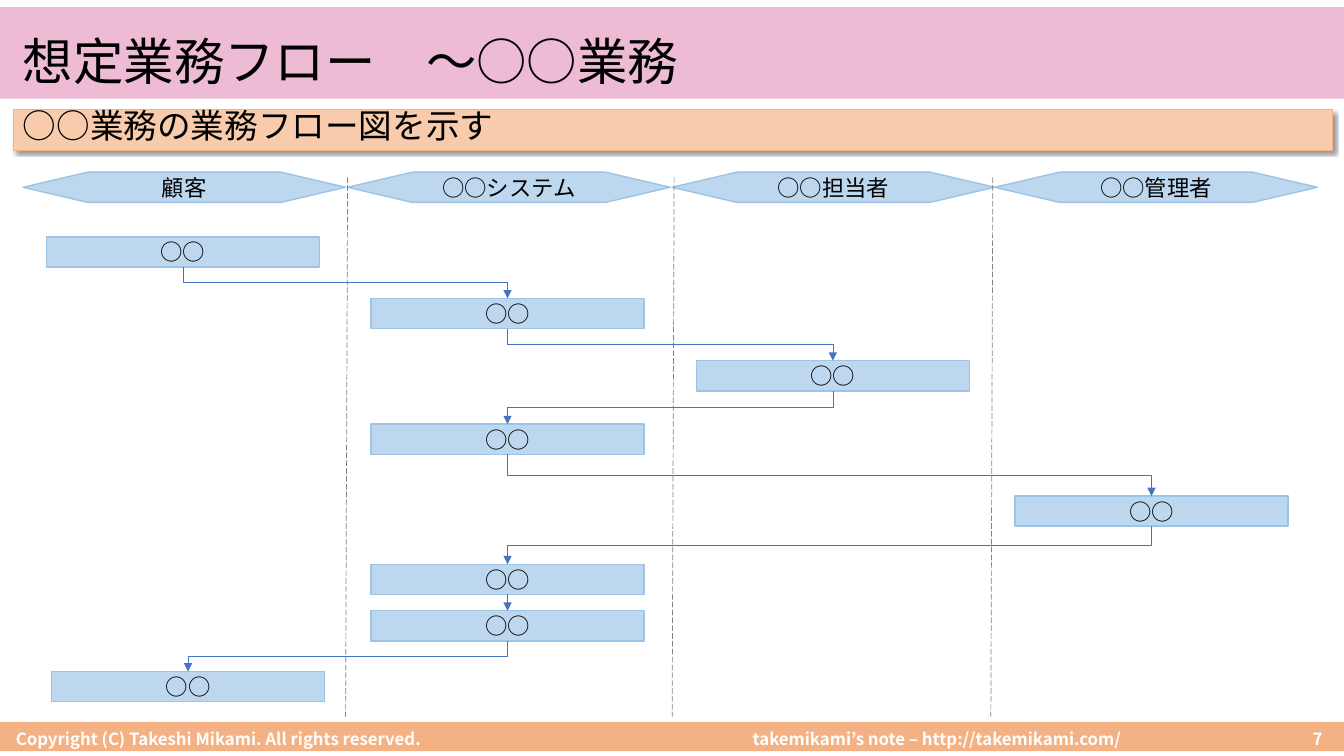
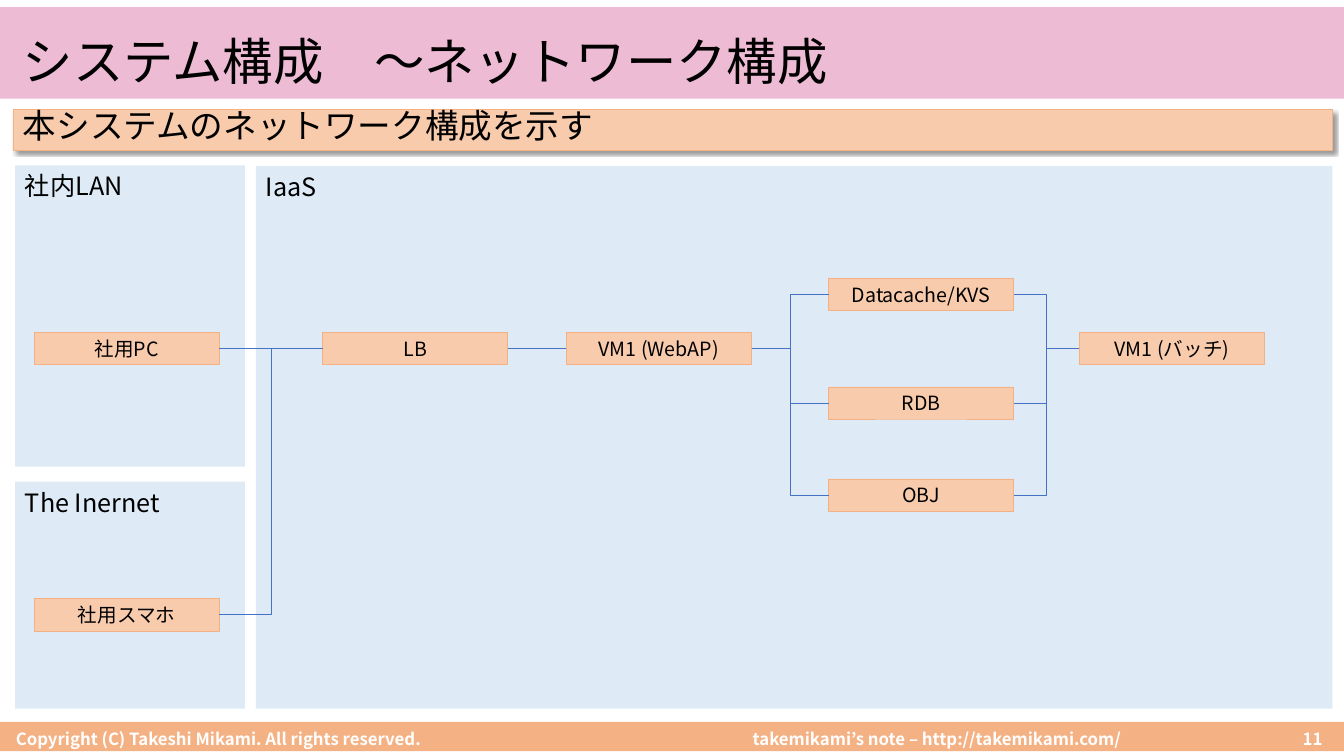
import dataclasses
import itertools

import pptx
import pptx.dml.color
import pptx.enum.dml
import pptx.enum.shapes
import pptx.enum.text
import pptx.oxml
import pptx.oxml.ns
import pptx.util

Cm = pptx.util.Cm
Pt = pptx.util.Pt
SHAPE = pptx.enum.shapes.MSO_SHAPE
CONNECTOR = pptx.enum.shapes.MSO_CONNECTOR
ALIGN = pptx.enum.text.PP_ALIGN
ANCHOR = pptx.enum.text.MSO_ANCHOR
TOP, LEFT, BOTTOM, RIGHT = range(4)


@dataclasses.dataclass(frozen=True)
class Theme:
    font: str = "Noto Sans CJK JP"
    # Colours
    ink: str = "000000"
    white: str = "FFFFFF"
    title_band: str = "EDBBD4"
    orange: str = "F4B183"
    light_orange: str = "F8CBAD"
    blue: str = "BDD7EE"
    blue_edge: str = "9DC3E6"
    pale_blue: str = "DEEBF7"
    wire: str = "4472C4"
    divider: str = "595959"
    # Type sizes in points
    title_size: int = 36
    lead_size: int = 24
    area_size: int = 18
    step_size: int = 16
    node_size: int = 14
    footer_size: int = 12


THEME = Theme()
PAGE_WIDTH, PAGE_HEIGHT = 33.87, 19.05
COPYRIGHT = "Copyright (C) Takeshi Mikami. All rights reserved."
SITE = "takemikami’s note – http://takemikami.com/"


def rgb(colour):
    return pptx.dml.color.RGBColor.from_string(colour)


def add_xml(parent, tag, content="", attributes=""):
    """Append one DrawingML element to its parent and return it."""
    namespace = pptx.oxml.ns.nsdecls("a")
    element = pptx.oxml.parse_xml(
        f"<a:{tag} {namespace} {attributes}>{content}</a:{tag}>")
    parent.append(element)
    return element


def write(box, text, size=14, colour=THEME.ink, bold=False, align=ALIGN.LEFT,
          anchor=ANCHOR.MIDDLE, line_spacing=None, margin=0.0):
    """Put one formatted paragraph in a box."""
    frame = box.text_frame
    frame.word_wrap = True
    frame.vertical_anchor = anchor
    frame.margin_top = frame.margin_bottom = Cm(margin)
    para = frame.paragraphs[0]
    para.alignment = align
    if line_spacing:
        para.line_spacing = line_spacing
    span = para.add_run()
    span.text = text
    span.font.name = THEME.font
    span.font.size = Pt(size)
    span.font.bold = bold
    span.font.color.rgb = rgb(colour)
    add_xml(span.font._element, "ea", attributes=f'typeface="{THEME.font}"')


class Sketch:
    """Holds the deck, its style and the page being drawn."""

    def __init__(self, theme):
        self.theme = theme
        self.deck = pptx.Presentation()
        self.deck.slide_width = Cm(PAGE_WIDTH)
        self.deck.slide_height = Cm(PAGE_HEIGHT)
        self.page = None

    def start_page(self, title, lead, number):
        theme = self.theme
        self.page = self.deck.slides.add_slide(self.deck.slide_layouts[6])
        # Footer and title bands
        self.box(0, 18.19, PAGE_WIDTH, 0.74, theme.orange)
        self.box(0, 0.18, PAGE_WIDTH, 2.31, theme.title_band)
        footer = dict(size=theme.footer_size, colour=theme.white, bold=True)
        self.label(0.15, 18.26, 17.75, 0.71, COPYRIGHT, **footer)
        self.label(18.72, 18.26, 10.97, 0.71, SITE, **footer)
        self.label(31.47, 18.26, 2.11, 0.71, str(number),
                   align=ALIGN.RIGHT, **footer)
        self.label(0.33, 0.84, 33.25, 1.55, title,
                   size=theme.title_size, line_spacing=0.9)
        # Lead sentence
        bar = self.box(0.33, 2.77, 33.25, 1.02, theme.light_orange,
                       theme.orange, 0.75)
        write(bar, lead, size=theme.lead_size, anchor=ANCHOR.TOP,
              line_spacing=0.9)
        self.drop_shadow(bar)

    def label(self, left, top, width, height, text, **style):
        box = self.page.shapes.add_textbox(
            Cm(left), Cm(top), Cm(width), Cm(height))
        write(box, text, **style)

    def box(self, left, top, width, height, fill, edge=None, edge_width=1,
            kind=SHAPE.RECTANGLE):
        box = self.page.shapes.add_shape(
            kind, Cm(left), Cm(top), Cm(width), Cm(height))
        box.shadow.inherit = False
        box.fill.solid()
        box.fill.fore_color.rgb = rgb(fill)
        if edge:
            box.line.color.rgb = rgb(edge)
            box.line.width = Pt(edge_width)
        else:
            box.line.fill.background()
        return box

    def drop_shadow(self, box):
        effects = box._element.spPr.find(pptx.oxml.ns.qn("a:effectLst"))
        add_xml(effects, "outerShdw",
                '<a:srgbClr val="000000"><a:alpha val="40000"/></a:srgbClr>',
                f'blurRad="{Pt(2)}" dist="{Pt(3)}" dir="2700000" '
                'algn="tl" rotWithShape="0"')

    def lane(self, left, text):
        box = self.box(left, 4.34, 8.13, 0.76, self.theme.blue,
                       self.theme.blue_edge, kind=SHAPE.FLOWCHART_PREPARATION)
        write(box, text, size=self.theme.step_size, align=ALIGN.CENTER)

    def step(self, left, top, text):
        box = self.box(left, top, 6.88, 0.76,
                       self.theme.blue, self.theme.blue_edge)
        write(box, text, size=self.theme.step_size, align=ALIGN.CENTER)
        return box

    def area(self, left, top, width, height, text):
        box = self.box(left, top, width, height, self.theme.pale_blue)
        write(box, text, size=self.theme.area_size, anchor=ANCHOR.TOP,
              margin=0.13)

    def node(self, left, top, text):
        box = self.box(left, top, 4.67, 0.81, self.theme.light_orange,
                       self.theme.orange, 0.5)
        write(box, text, size=self.theme.node_size, align=ALIGN.CENTER)
        return box

    def line(self, kind, colour, start=(0, 0), end=(0, 0)):
        line = self.page.shapes.add_connector(
            kind, *(Cm(value) for value in start + end))
        line.line.color.rgb = rgb(colour)
        line.line.width = Pt(0.5)
        add_xml(line._element.spPr, "effectLst")
        return line

    def divider(self, x):
        line = self.line(CONNECTOR.STRAIGHT, self.theme.divider,
                         (x, 4.47), (x - 0.05, 18.06))
        line.line.dash_style = pptx.enum.dml.MSO_LINE.LONG_DASH
        colour = line.line.fill._xPr.find(".//" + pptx.oxml.ns.qn("a:srgbClr"))
        add_xml(colour, "alpha", attributes='val="74000"')

    def join(self, first, first_side, second, second_side, straight):
        kind = CONNECTOR.STRAIGHT if straight else CONNECTOR.ELBOW
        line = self.line(kind, self.theme.wire)
        line.begin_connect(first, first_side)
        line.end_connect(second, second_side)
        return line

    def wire(self, first, second):
        """Join the right side of one node to the left side of the next."""
        self.join(first, RIGHT, second, LEFT, first.top == second.top)

    def arrow(self, first, second):
        """Lead from the bottom of one step to the top of the next."""
        straight = first.left == second.left
        line = self.join(first, BOTTOM, second, TOP, straight)
        add_xml(line.line._get_or_add_ln(), "tailEnd",
                attributes='type="triangle"')
        if not straight:
            self.turn_upright(line)

    def turn_upright(self, line):
        """Rotate an elbow so that it leaves and arrives vertically."""
        rightward = line.end_x > line.begin_x
        centre_x = (line.begin_x + line.end_x) // 2
        centre_y = (line.begin_y + line.end_y) // 2
        run, drop = line.width, line.height
        line.left, line.top = centre_x - drop // 2, centre_y - run // 2
        line.width, line.height = drop, run
        frame = line._element.spPr.xfrm
        frame.set("rot", "16200000" if rightward else "5400000")
        frame.set("flipH", "1" if rightward else "0")


def draw_business_flow(sketch):
    sketch.start_page("想定業務フロー　〜○○業務", "○○業務の業務フロー図を示す", 7)

    # Swim lanes
    lanes = {"顧客": 0.58, "○○システム": 8.76,
             "○○担当者": 16.94, "○○管理者": 25.07}
    for name, left in lanes.items():
        sketch.lane(left, name)
    for x in (8.76, 16.99, 25.02):
        sketch.divider(x)

    # Steps, each leading to the next
    customer, system, staff, manager = 1.17, 9.35, 17.55, 25.58
    places = [(customer, 5.97), (system, 7.52), (staff, 9.09),
              (system, 10.69), (manager, 12.5), (system, 14.22),
              (system, 15.39), (customer + 0.13, 16.92)]
    steps = [sketch.step(left, top, "○○") for left, top in places]
    for first, second in itertools.pairwise(steps):
        sketch.arrow(first, second)


def draw_network(sketch):
    sketch.start_page("システム構成　〜ネットワーク構成",
                      "本システムのネットワーク構成を示す", 11)

    # Network areas
    sketch.area(6.45, 4.19, 27.13, 13.67, "IaaS")
    sketch.area(0.38, 4.17, 5.79, 7.59, "社内LAN")
    sketch.area(0.38, 12.14, 5.79, 5.72, "The Inernet")

    # Nodes
    main_row = 8.38
    computer = sketch.node(0.86, main_row, "社用PC")
    phone = sketch.node(0.86, 15.09, "社用スマホ")
    balancer = sketch.node(8.13, main_row, "LB")
    web = sketch.node(14.27, main_row, "VM1 (WebAP)")
    batch = sketch.node(27.2, main_row, "VM1 (バッチ)")
    stores = [sketch.node(20.88, top, text) for top, text in
              ((7.01, "Datacache/KVS"), (9.75, "RDB"), (12.07, "OBJ"))]

    # Wires
    for first, second in ((computer, balancer), (phone, balancer),
                          (balancer, web)):
        sketch.wire(first, second)
    for store in stores:
        sketch.wire(web, store)
        sketch.wire(store, batch)


def main():
    sketch = Sketch(THEME)
    draw_business_flow(sketch)
    draw_network(sketch)
    sketch.deck.save("out.pptx")


if __name__ == "__main__":
    main()
